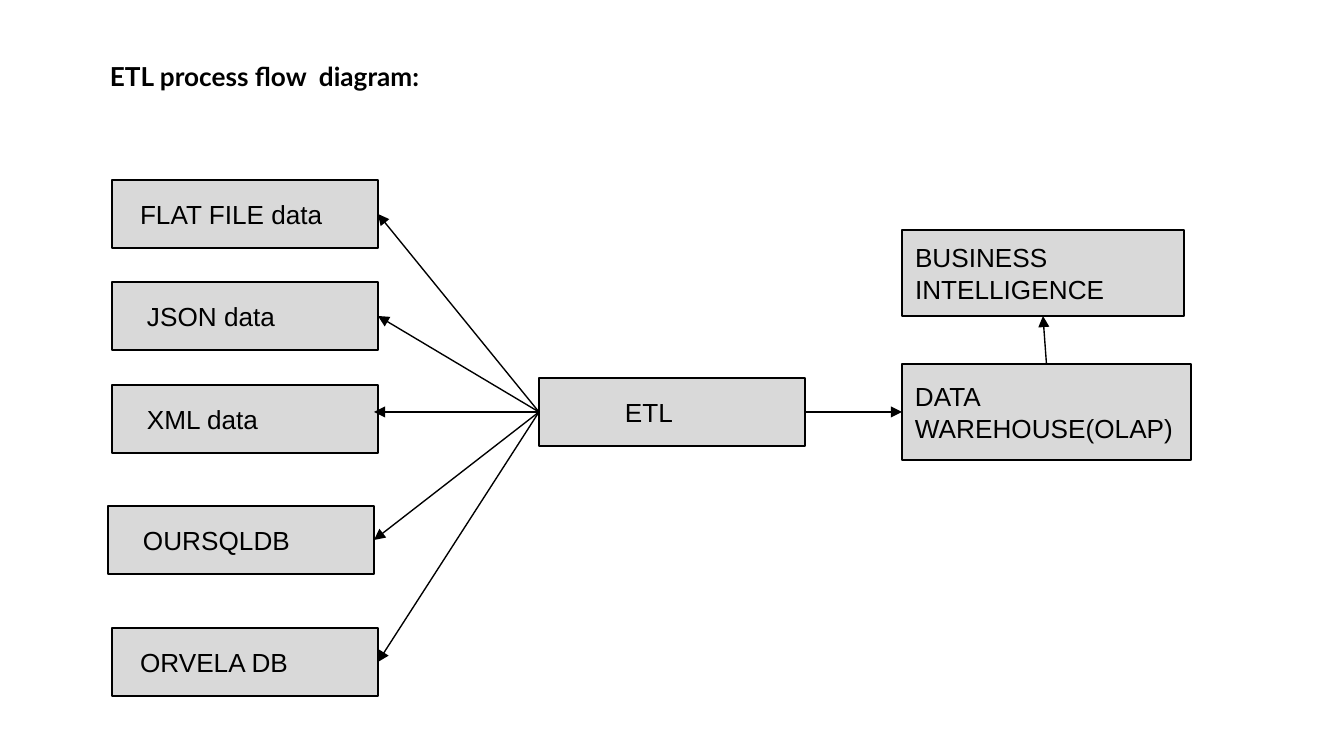
from dataclasses import dataclass

from lxml import etree
from pptx import Presentation
from pptx import util as u
from pptx.dml.color import RGBColor
from pptx.enum import shapes, text
from pptx.oxml import ns
from pptx.shapes.autoshape import Shape
from pptx.shapes.connector import Connector
from pptx.slide import Slide

EMU_PER_PX = 914400 / 134.4
COLORS = {"ink": "000000", "box": "D9D9D9", "paper": "FFFFFF"}
INSET = 13
BOTTOM, LEFT, RIGHT, TOP = 2, 1, 3, 0


@dataclass(frozen=True)
class Step:
    label: str
    left: int
    top: int
    width: int = 266
    height: int = 68
    indent: int = 0


SOURCES = [
    Step("FLAT FILE data", 112, 180, indent=15),
    Step("JSON data", 112, 282, indent=22),
    Step("XML data", 112, 385, indent=22),
    Step("OURSQLDB", 108, 506, indent=22),
    Step("ORVELA DB", 112, 628, indent=15),
]
ETL = Step("ETL", 539, 378, indent=73)
WAREHOUSE = Step("DATA WAREHOUSE(OLAP)", 902, 364, 289, 96)
INTELLIGENCE = Step("BUSINESS INTELLIGENCE", 902, 230, 282, 86)
XML_ARROW_END = (374, 412)


def px(length: int) -> u.Emu:
    return u.Emu(round(length * EMU_PER_PX))


def color(key: str) -> RGBColor:
    return RGBColor.from_string(COLORS[key])


def write(shape: Shape, words: str, font_name: str, bold: bool = False,
          indent: int = 0, anchor: text.MSO_ANCHOR = text.MSO_ANCHOR.MIDDLE) -> None:
    frame = shape.text_frame
    frame_format = {
        "word_wrap": True,
        "vertical_anchor": anchor,
        "margin_left": px(INSET + indent),
        "margin_right": px(INSET),
        "margin_top": px(INSET),
        "margin_bottom": px(INSET),
    }
    for name, value in frame_format.items():
        setattr(frame, name, value)
    paragraph = frame.paragraphs[0]
    paragraph.alignment = text.PP_ALIGN.LEFT
    run = paragraph.add_run()
    run.text = words
    for name, value in {"name": font_name, "size": u.Pt(14), "bold": bold}.items():
        setattr(run.font, name, value)
    run.font.color.rgb = color("ink")


def draw_step(slide: Slide, step: Step) -> Shape:
    box = slide.shapes.add_shape(
        shapes.MSO_SHAPE.RECTANGLE,
        px(step.left), px(step.top), px(step.width), px(step.height))
    box.shadow.inherit = False
    box.fill.solid()
    box.fill.fore_color.rgb = color("box")
    box.line.color.rgb = color("ink")
    box.line.width = u.Pt(0.75)
    write(box, step.label, "Arial", indent=step.indent)
    return box


def draw_arrow(slide: Slide, start: Shape, side: int,
               end: tuple[int, int] = (0, 0)) -> Connector:
    """Draw an arrow from a side of a box to a free point."""
    x, y = map(px, end)
    arrow = slide.shapes.add_connector(shapes.MSO_CONNECTOR.STRAIGHT, x, y, x, y)
    arrow.begin_connect(start, side)
    arrow.line.color.rgb = color("ink")
    arrow.line.width = u.Pt(0.75)
    etree.SubElement(arrow.line._get_or_add_ln(), ns.qn("a:tailEnd"), type="triangle")
    etree.SubElement(arrow._element.spPr, ns.qn("a:effectLst"))
    return arrow


def main() -> None:
    deck = Presentation()
    deck.slide_width, deck.slide_height = px(1344), px(756)
    slide = deck.slides.add_slide(deck.slide_layouts[6])
    slide.background.fill.solid()
    slide.background.fill.fore_color.rgb = color("paper")

    heading = slide.shapes.add_textbox(px(97), px(47), px(392), px(52))
    write(heading, "ETL process flow  diagram:", "Lato", bold=True,
          anchor=text.MSO_ANCHOR.TOP)

    sources = [draw_step(slide, step) for step in SOURCES]
    etl, warehouse, intelligence = (
        draw_step(slide, step) for step in (ETL, WAREHOUSE, INTELLIGENCE))

    for step, source in zip(SOURCES, sources):
        if step.label == "XML data":
            draw_arrow(slide, etl, LEFT, XML_ARROW_END)
        else:
            draw_arrow(slide, etl, LEFT).end_connect(source, RIGHT)
    draw_arrow(slide, etl, RIGHT).end_connect(warehouse, LEFT)
    draw_arrow(slide, warehouse, TOP).end_connect(intelligence, BOTTOM)

    deck.save("out.pptx")


if __name__ == "__main__":
    main()
